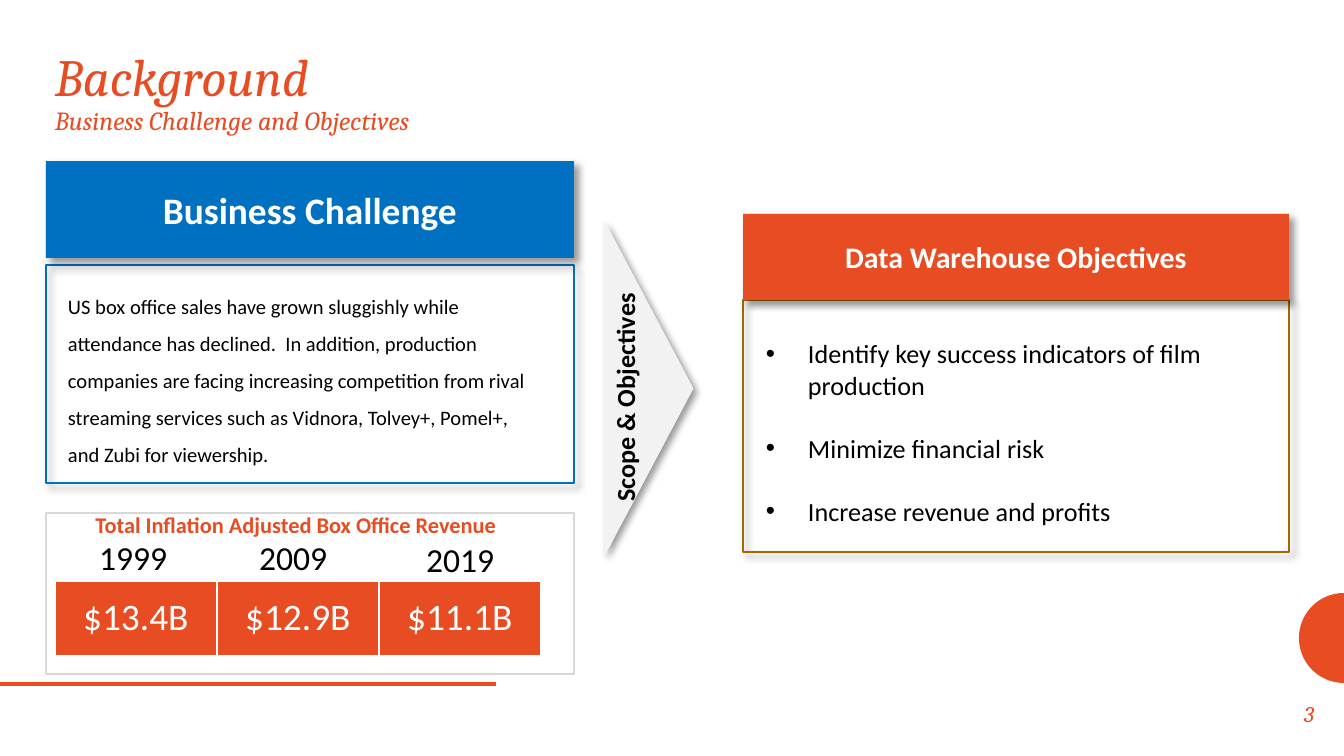
import math

import lxml.etree
import pptx
import pptx.dml.color
import pptx.enum.shapes
import pptx.enum.text
import pptx.oxml.ns
import pptx.util

RGB = pptx.dml.color.RGBColor
KIND = pptx.enum.shapes.MSO_SHAPE
ALIGN = pptx.enum.text.PP_ALIGN
ANCHOR = pptx.enum.text.MSO_ANCHOR

ORANGE = RGB(0xE8, 0x4C, 0x22)
BLUE = RGB(0x00, 0x70, 0xC0)
BROWN = RGB(0xA3, 0x68, 0x00)
GRAY = RGB(0xD8, 0xD8, 0xD8)
PALE = RGB(0xF2, 0xF2, 0xF2)
WHITE = RGB(0xFF, 0xFF, 0xFF)
BLACK = RGB(0x00, 0x00, 0x00)

SCALE = 914400 / 134.4  # EMU per px


def px(n):
    return pptx.util.Emu(round(n * SCALE))


def node(parent, tag, **attrs):
    return lxml.etree.SubElement(parent, pptx.oxml.ns.qn(tag), **attrs)


def style(run, size, color, font, bold, italic):
    run.font.size = pptx.util.Pt(size)
    run.font.name = font
    run.font.color.rgb = color
    run.font.bold = bold
    run.font.italic = italic


def bullet(para):
    props = para._p.get_or_add_pPr()
    props.set("marL", str(px(42)))
    props.set("indent", str(-px(42)))
    node(node(props, "a:buClr"), "a:srgbClr", val=str(BLACK))
    node(props, "a:buFont", typeface="Arial")
    node(props, "a:buChar", char="•")


def write(shape, text, size=14, color=BLACK, font="Calibri", bold=False,
          italic=False, align=ALIGN.LEFT, anchor=ANCHOR.MIDDLE, pad=7,
          lead=1.0, gap=0, dots=False):
    """Fill a shape with text, one paragraph per line."""
    frame = shape.text_frame
    frame.word_wrap = True
    frame.vertical_anchor = anchor
    frame.margin_left = frame.margin_right = px(13)
    frame.margin_top = frame.margin_bottom = px(pad)
    for i, line in enumerate(text.split("\n")):
        para = frame.add_paragraph() if i else frame.paragraphs[0]
        if dots:
            bullet(para)
        para.alignment = align
        para.line_spacing = lead
        if i and gap:
            para.space_before = pptx.util.Pt(gap)
        run = para.add_run()
        run.text = line
        style(run, size, color, font, bold, italic)
    return frame


def label(slide, x, y, w, h, text, turn=0, **form):
    box = slide.shapes.add_textbox(px(x), px(y), px(w), px(h))
    box.rotation = turn
    return write(box, text, **form)


def paint(shape, fill=None, line=None, shade=False):
    shape.shadow.inherit = False
    if fill is None:
        shape.fill.background()
    else:
        shape.fill.solid()
        shape.fill.fore_color.rgb = fill
    if line is None:
        shape.line.fill.background()
    else:
        shape.line.color.rgb = line
        shape.line.width = pptx.util.Pt(1)
    if shade:
        effects = shape._element.spPr.find(pptx.oxml.ns.qn("a:effectLst"))
        outer = node(effects, "a:outerShdw", blurRad="50800", dist="38100",
                     dir="2700000", algn="tl", rotWithShape="0")
        node(node(outer, "a:srgbClr", val="000000"), "a:alpha", val="40000")


def block(slide, x, y, w, h, kind=KIND.RECTANGLE, **look):
    shape = slide.shapes.add_shape(kind, px(x), px(y), px(w), px(h))
    paint(shape, **look)
    return shape


def half(slide, x, y, r):
    """Left half of a disc centred at x, y."""
    angles = [math.radians(90 + 6 * i) for i in range(31)]
    points = [(px(x + r * math.cos(a)), px(y + r * math.sin(a)))
              for a in angles]
    build = slide.shapes.build_freeform(*points[0])
    build.add_line_segments(points[1:], close=True)
    paint(build.convert_to_shape(), fill=ORANGE)


def rule(slide, x1, y1, x2, y2):
    line = slide.shapes.add_connector(
        pptx.enum.shapes.MSO_CONNECTOR.STRAIGHT,
        px(x1), px(y1), px(x2), px(y2))
    line.line.color.rgb = ORANGE
    line.line.width = pptx.util.Pt(2)
    node(line._element.spPr, "a:effectLst")


def main():
    deck = pptx.Presentation()
    deck.slide_width, deck.slide_height = px(1344), px(756)
    slide = deck.slides.add_slide(deck.slide_layouts[6])

    # Edge decoration
    half(slide, 1344, 638, 45)
    rule(slide, 0, 684, 496, 684)

    # Title and subtitle
    head = label(slide, 42, 38, 1253, 85, "Background", size=28,
                 color=ORANGE, font="Cambria", italic=True,
                 anchor=ANCHOR.TOP, pad=13, lead=0.9)
    para = head.paragraphs[0]
    para.add_line_break()
    run = para.add_run()
    run.text = "Business Challenge and Objectives"
    style(run, 14, ORANGE, "Cambria", False, True)

    # Business challenge
    block(slide, 46, 265, 528, 218, line=BLUE, shade=True)
    top = block(slide, 46, 161, 528, 97, fill=BLUE, shade=True)
    write(top, "Business Challenge", size=20, color=WHITE, bold=True,
          align=ALIGN.CENTER)
    label(slide, 55, 276, 485, 196,
          "US box office sales have grown sluggishly while attendance has "
          "declined.  In addition, production companies are facing "
          "increasing competition from rival streaming services such as "
          "Vidnora, Tolvey+, Pomel+, and Zubi for viewership.",
          size=11, lead=1.5)

    # Scope arrow
    arrow = block(slide, 481, 344, 336, 89, KIND.ISOSCELES_TRIANGLE,
                  fill=PALE, shade=True)
    arrow.rotation = 90
    label(slide, 505, 359, 253, 59, "Scope & Objectives", turn=270,
          bold=True, anchor=ANCHOR.TOP)

    # Data warehouse objectives
    label(slide, 753, 329, 536, 206,
          "Identify key success indicators of film production\n"
          "Minimize financial risk\n"
          "Increase revenue and profits", gap=17, dots=True)
    block(slide, 743, 300, 546, 252, line=BROWN, shade=True)
    top = block(slide, 743, 214, 546, 86, fill=ORANGE, shade=True)
    write(top, "Data Warehouse Objectives", size=16, color=WHITE, bold=True,
          align=ALIGN.CENTER)

    # Box office revenue
    label(slide, 46, 501, 500, 50,
          "Total Inflation Adjusted Box Office Revenue", size=12,
          color=ORANGE, bold=True, align=ALIGN.CENTER, pad=12, lead=0.9)
    sales = [("1999", "$13.4B", 86, 530), ("2009", "$12.9B", 246, 530),
             ("2019", "$11.1B", 413, 532)]
    for i, (year, sum_, x, y) in enumerate(sales):
        cell = block(slide, 55 + 162 * i, 581, 162, 75, fill=ORANGE,
                     line=WHITE)
        write(cell, sum_, size=20, color=WHITE, align=ALIGN.CENTER, lead=0.9)
        label(slide, x, y, 128, 54, year, size=18, anchor=ANCHOR.TOP)
    block(slide, 46, 513, 528, 161, line=GRAY)

    # Page number
    label(slide, 1246, 685, 81, 58, "3", size=12, color=ORANGE,
          font="Cambria", italic=True, align=ALIGN.RIGHT, pad=13)

    deck.save("out.pptx")


if __name__ == "__main__":
    main()
